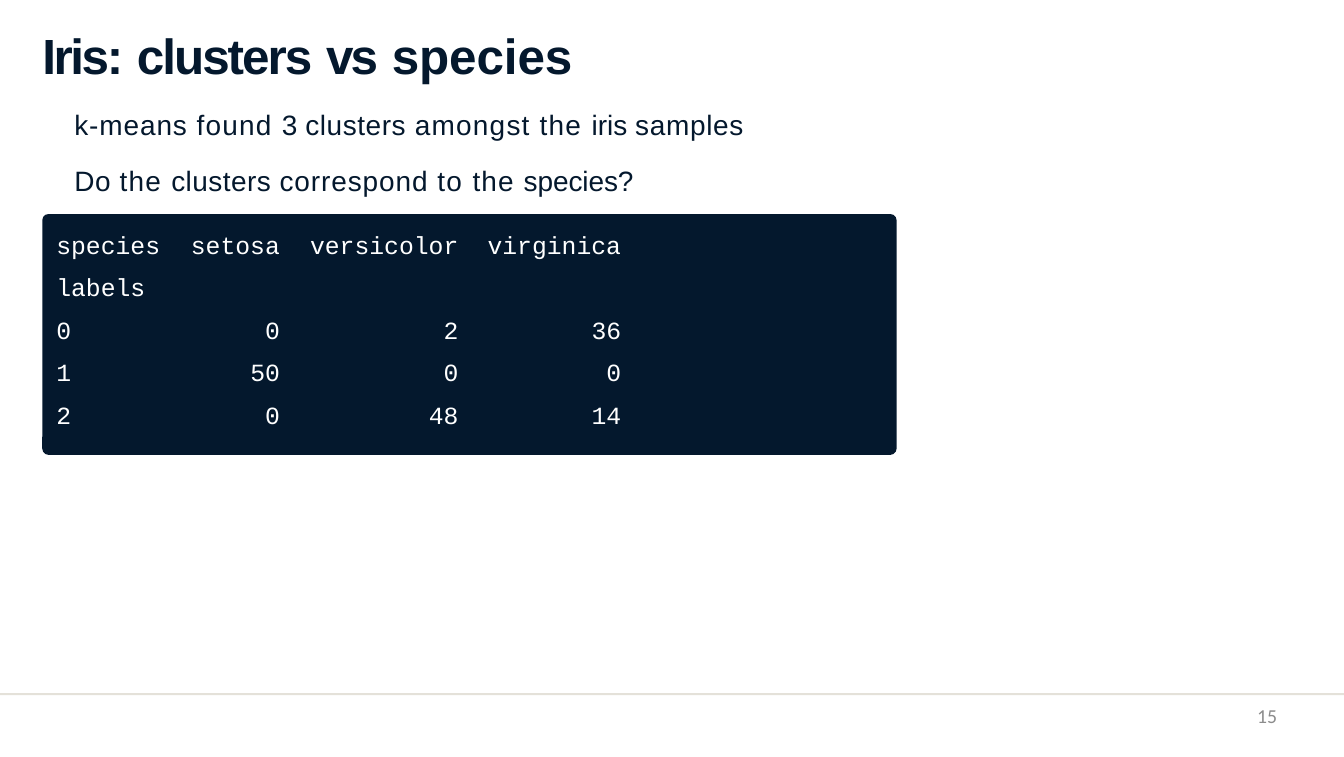
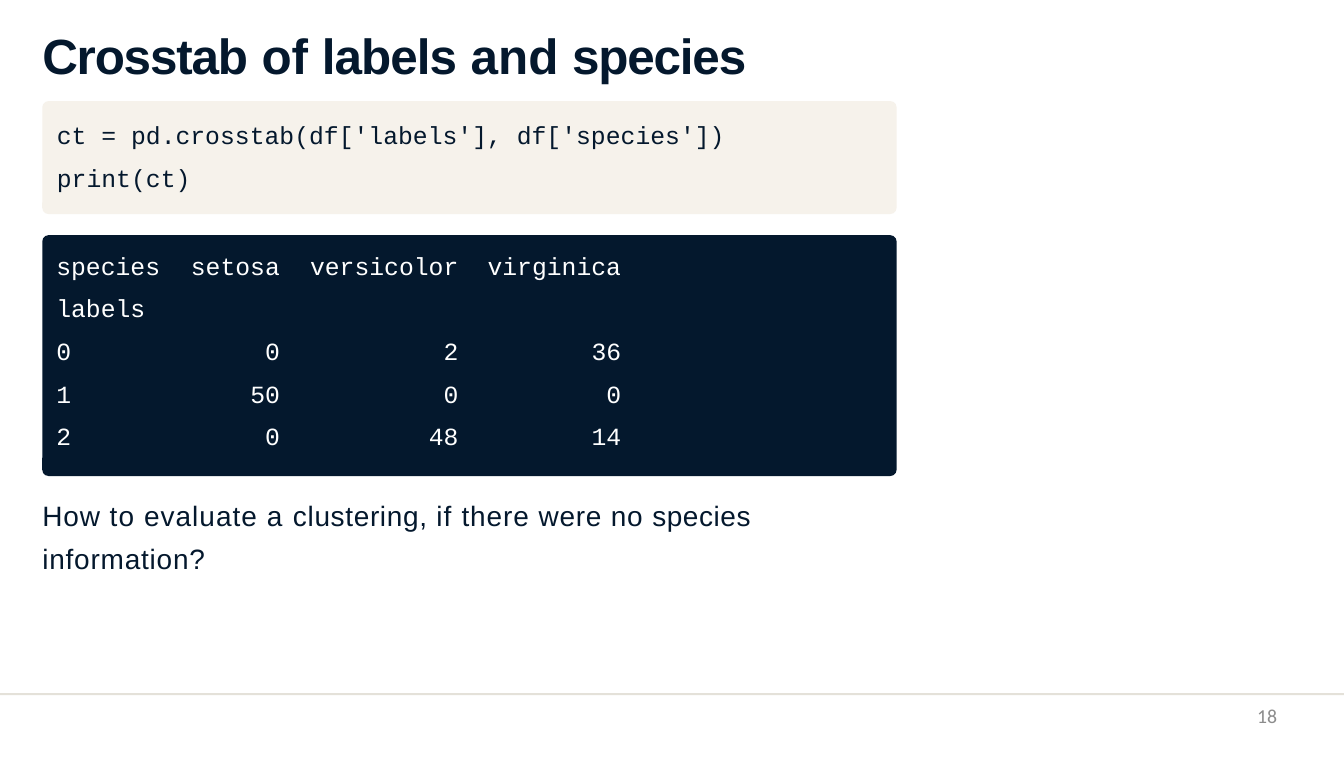
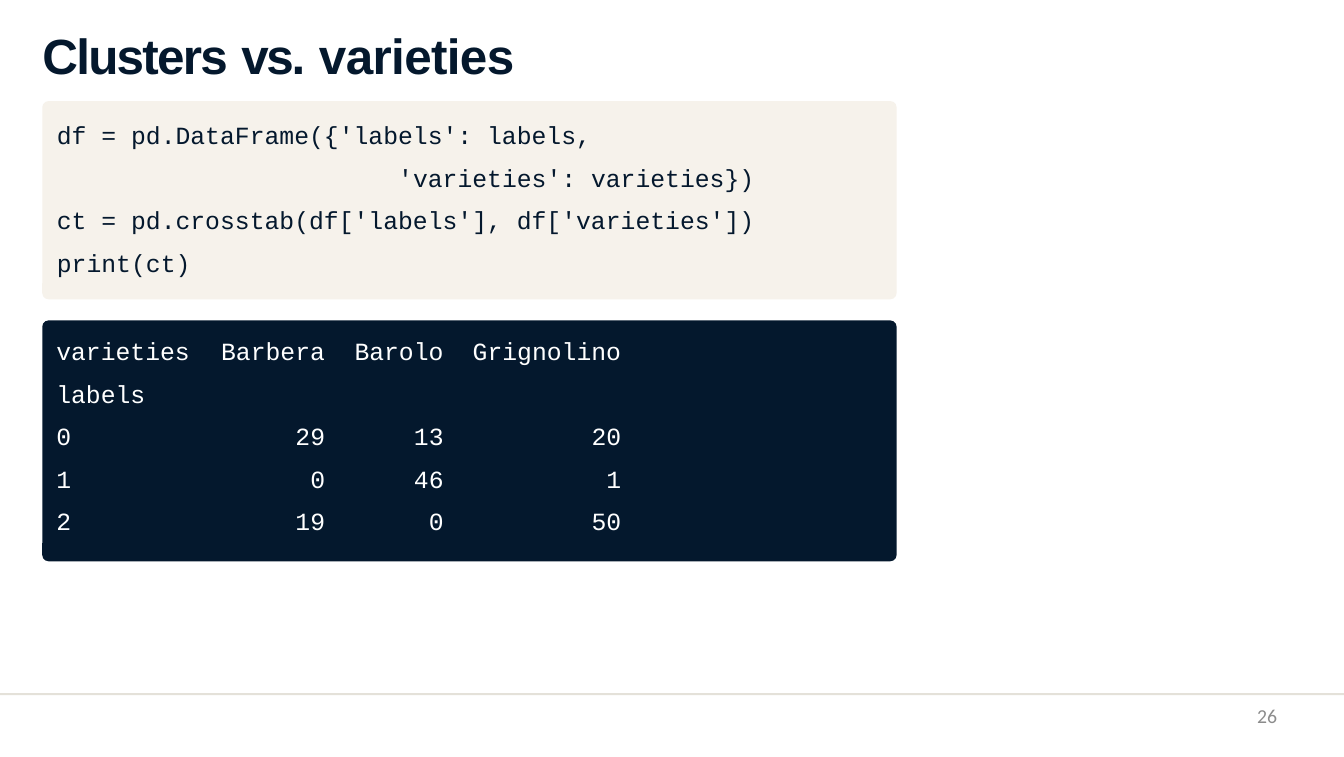
from lxml.etree import SubElement
from pptx import Presentation
from pptx.dml.color import RGBColor
from pptx.enum.shapes import MSO_SHAPE as Preset
from pptx.enum.text import MSO_ANCHOR as Anchor, MSO_AUTO_SIZE as AutoSize, PP_ALIGN as Align
from pptx.oxml.ns import qn
from pptx.util import Cm, Pt

NAVY = RGBColor(0x04, 0x18, 0x2D)
CREAM = RGBColor(0xF6, 0xF2, 0xEB)
SAND = RGBColor(0xE4, 0xE1, 0xD9)
GREY = RGBColor(0x8C, 0x8C, 0x8C)
WHITE = RGBColor(0xFF, 0xFF, 0xFF)

WIDTH, HEIGHT = 43.2, 24.33
PANEL_LEFT, PANEL_WIDTH = 1.36, 27.46
PANEL_TOP, PANEL_GAP, PANEL_PADDING = 3.25, 0.68, 0.89
PANEL_RADIUS = 0.2
LINE_HEIGHT, CELL_PADDING = 1.37, 0.23


class Deck:
    def __init__(self):
        self.presentation = Presentation()
        self.presentation.slide_width = Cm(WIDTH)
        self.presentation.slide_height = Cm(HEIGHT)
        self.slide = None

    def new_slide(self, title, number):
        layout = self.presentation.slide_layouts.get_by_name("Title Only")
        self.slide = self.presentation.slides.add_slide(layout)
        self.block(Preset.RECTANGLE, 0, 22.28, WIDTH, 0.06, SAND)
        shape = self.slide.shapes.title
        shape.left, shape.top, shape.width, shape.height = Cm(1.36), Cm(0.8), Cm(32.2), Cm(1.9)
        runs = [title[0]]
        for word in title[1:]:
            runs += [(" ", 0), word]
        self.fill_frame(shape.text_frame, [runs], "Arial", 45, NAVY, bold=True)
        self.text(31.12, 22.63, 9.93, 1.22, [[(number, 0)]], "Calibri", 18, GREY, align=Align.RIGHT)

    def block(self, preset, left, top, width, height, color):
        shape = self.slide.shapes.add_shape(preset, Cm(left), Cm(top), Cm(width), Cm(height))
        shape.shadow.inherit = False
        shape.fill.solid()
        shape.fill.fore_color.rgb = color
        shape.line.fill.background()
        return shape

    def panel(self, top, line_count, color):
        height = PANEL_PADDING + LINE_HEIGHT * line_count
        shape = self.block(Preset.ROUNDED_RECTANGLE, PANEL_LEFT, top, PANEL_WIDTH, height, color)
        shape.adjustments[0] = PANEL_RADIUS / height
        return top + height + PANEL_GAP

    def fill_frame(self, frame, paragraphs, font, size, color, bold=False, align=Align.LEFT):
        frame.word_wrap = True
        frame.auto_size = AutoSize.NONE
        frame.vertical_anchor = Anchor.TOP
        frame.margin_left = frame.margin_right = frame.margin_top = frame.margin_bottom = 0
        for index, runs in enumerate(paragraphs):
            paragraph = frame.add_paragraph() if index else frame.paragraphs[0]
            paragraph.alignment = align
            for words, spacing in runs:
                run = paragraph.add_run()
                run.text = words
                self.style(run, font, size, color, bold, spacing)

    def style(self, run, font, size, color, bold=False, spacing=0):
        run.font.name = font
        run.font.size = Pt(size)
        run.font.color.rgb = color
        run.font.bold = bold
        if spacing:
            run._r.get_or_add_rPr().set("spc", str(round(spacing * 100)))

    def text(self, left, top, width, height, paragraphs, font="Arial", size=25.5, color=NAVY,
             align=Align.LEFT):
        shape = self.slide.shapes.add_textbox(Cm(left), Cm(top), Cm(width), Cm(height))
        self.fill_frame(shape.text_frame, paragraphs, font, size, color, align=align)
        return shape.text_frame.paragraphs

    def code(self, lines):
        next_top = self.panel(PANEL_TOP, len(lines), CREAM)
        paragraphs = self.text(1.83, PANEL_TOP + 0.19, 26, LINE_HEIGHT * len(lines),
                               [[(line, 0)] for line, indent in lines], "Courier New", 22.5)
        for paragraph, (line, indent) in zip(paragraphs, lines):
            paragraph.line_spacing = Cm(LINE_HEIGHT)
            if indent:
                paragraph._p.get_or_add_pPr().set("marL", str(Cm(indent)))
        return next_top

    def output(self, top, rows, column_widths):
        line_counts = [values[0].count("\n") + 1 for values in rows]
        next_top = self.panel(top, sum(line_counts), NAVY)
        table = self.slide.shapes.add_table(
            len(rows), len(column_widths), Cm(1.73), Cm(top + 0.39),
            Cm(sum(column_widths)), Cm(LINE_HEIGHT * sum(line_counts))).table
        table.first_row = table.horz_banding = False
        for column, width in zip(table.columns, column_widths):
            column.width = Cm(width)
        last = len(column_widths) - 1
        for row, values, line_count in zip(table.rows, rows, line_counts):
            row.height = Cm(LINE_HEIGHT * line_count)
            for index, (cell, value) in enumerate(zip(row.cells, values)):
                self.clear_cell(cell)
                cell.margin_left = Cm(0.08)
                cell.margin_right = Cm(0.45 if 0 < index < last else 0.07)
                cell.text_frame.text = value
                for position, paragraph in enumerate(cell.text_frame.paragraphs):
                    paragraph.alignment = Align.RIGHT if index else Align.LEFT
                    paragraph.space_before = Cm(2 * CELL_PADDING if position else 0)
                    for run in paragraph.runs:
                        self.style(run, "Courier New", 22.5, WHITE)
        return next_top

    def clear_cell(self, cell):
        properties = cell._tc.get_or_add_tcPr()
        for side in ("a:lnL", "a:lnR", "a:lnT", "a:lnB"):
            SubElement(SubElement(properties, qn(side), w="0"), qn("a:noFill"))
        cell.fill.background()
        cell.margin_top = Cm(CELL_PADDING)
        cell.margin_bottom = 0
        cell.vertical_anchor = Anchor.TOP


SPECIES_ROWS = [
    ("species\nlabels", "setosa", "versicolor", "virginica"),
    ("0", "0", "2", "36"),
    ("1", "50", "0", "0"),
    ("2", "0", "48", "14"),
]
SPECIES_COLUMNS = (3.91, 3.81, 5.74, 4.85)
VARIETY_ROWS = [
    ("varieties", "Barbera", "Barolo", "Grignolino"),
    ("labels", "", "", ""),
    ("0", "29", "13", "20"),
    ("1", "0", "46", "1"),
    ("2", "19", "0", "50"),
]
VARIETY_COLUMNS = (4.88, 4.29, 3.81, 5.33)


def main():
    deck = Deck()

    deck.new_slide([("Iris:", -2.2), ("clusters", -1.8), ("vs", -2.7), ("species", -0.1)], "15")
    questions = deck.text(2.39, 3.44, 26, 3, [
        [("k-means ", 0.8), ("found ", 1.1), ("3 ", 0), ("clusters ", 0.5), ("amongst ", 1.1),
         ("the ", 1.1), ("iris ", 0), ("samples", 0.6)],
        [("Do ", 0.5), ("the ", 1.1), ("clusters ", 0.4), ("correspond ", 0.8), ("to ", 1.2),
         ("the ", 1), ("species?", -0.1)],
    ])
    questions[1].space_before = Pt(21)
    deck.output(6.88, SPECIES_ROWS, SPECIES_COLUMNS)

    deck.new_slide([("Crosstab", -1.1), ("of", 0), ("labels", -0.9), ("and", 0),
                    ("species", -1.1)], "18")
    output_top = deck.code([("ct = pd.crosstab(df['labels'], df['species'])", 0), ("print(ct)", 0)])
    question_top = deck.output(output_top, SPECIES_ROWS, SPECIES_COLUMNS)
    question = deck.text(1.36, question_top - 0.24, 23.3, 2.8, [
        [("How ", 0.8), ("to ", 1), ("evaluate ", 0.9), ("a ", 1.2), ("clustering, ", 0.6),
         ("if ", 1), ("there ", 0.8), ("were no ", 0.7), ("species ", 0.5),
         ("information?", 0.7)],
    ])
    question[0].line_spacing = Pt(39)

    deck.new_slide([("Clusters", -1.6), ("vs.", -2.2), ("varieties", -0.6)], "26")
    output_top = deck.code([
        ("df = pd.DataFrame({'labels': labels,", 0),
        ("'varieties': varieties})", 10.97),
        ("ct = pd.crosstab(df['labels'], df['varieties'])", 0),
        ("print(ct)", 0),
    ])
    deck.output(output_top, VARIETY_ROWS, VARIETY_COLUMNS)

    deck.presentation.save("out.pptx")


if __name__ == "__main__":
    main()
